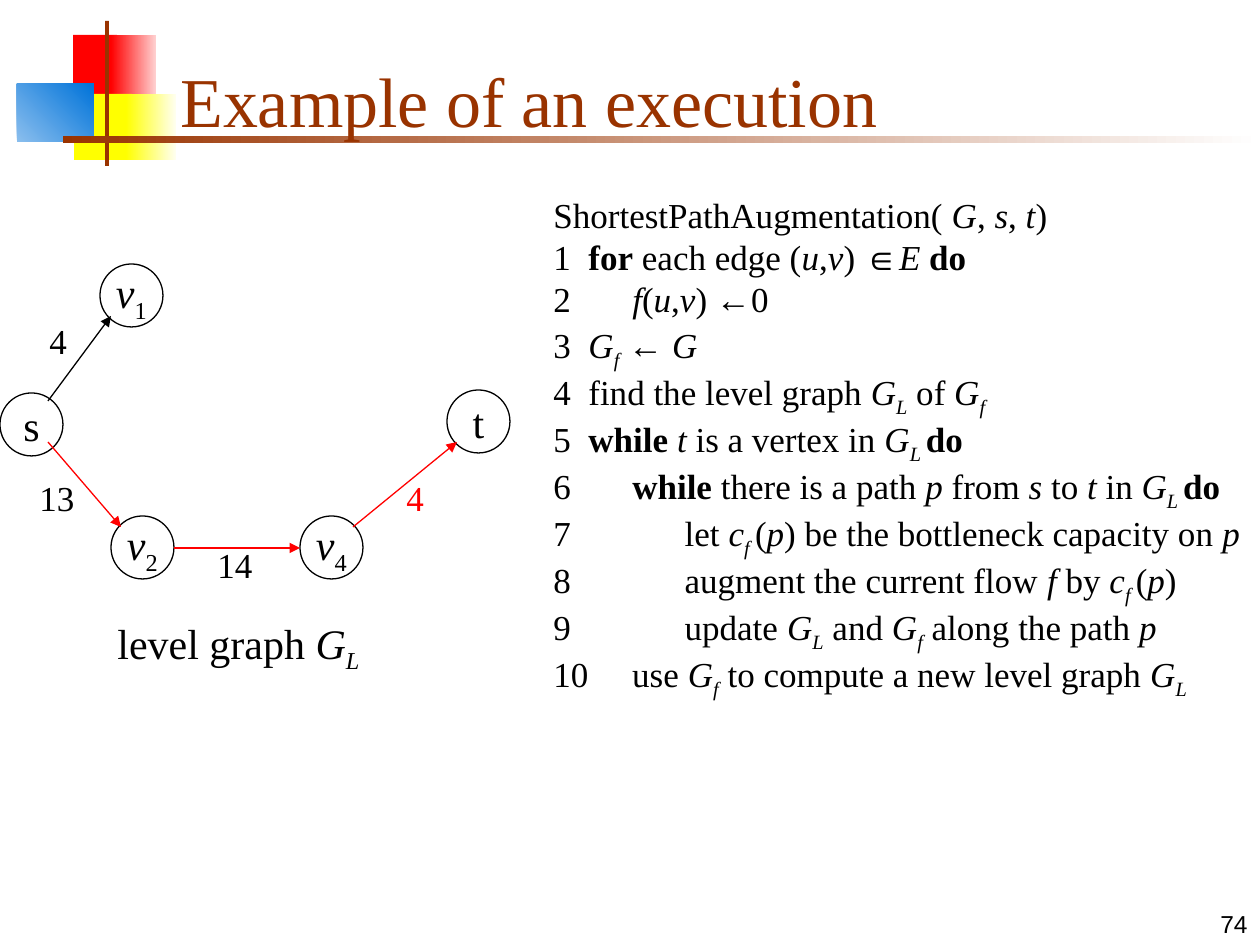
"""Build the slide with a level graph beside its augmentation algorithm."""
from lxml.etree import SubElement
from pptx import Presentation
from pptx.dml.color import RGBColor
from pptx.enum.shapes import MSO_CONNECTOR, MSO_SHAPE
from pptx.enum.text import MSO_ANCHOR, PP_ALIGN
from pptx.oxml.ns import qn
from pptx.util import Emu, Pt

SCALE = 914400 / 126
SERIF = "Times New Roman"
BLACK, RED, BROWN = "000000", "FF0000", "993300"

# left, top, width, height, colours, gradient angle
DECOR = [
    (73, 35, 44, 66, ["FF0000"], 0),
    (111, 35, 45, 66, ["FF0000", "FFD1D1"], 0),
    (74, 94, 58, 66, ["FFFF00"], 0),
    (126, 94, 50, 66, ["FFFF00", "FFFFF0"], 0),
    (17, 84, 77, 58, ["8BBFEE", "0073D9"], 45),
    (105, 21, 4, 145, [BROWN], 0),
    (63, 136, 1197, 7, [BROWN, "FFFFFF"], 0),
]

# Runs are split by "|"; a prefix of b, i or s means bold, italic or subscript
SIZE = 63
NODES = [
    (0, 393, "s"),
    (100, 264, "i:v|s:1"),
    (111, 516, "i:v|s:2"),
    (300, 516, "i:v|s:4"),
    (447, 390, "t"),
]
EDGES = [
    (48, 401, 111, 316, BLACK),
    (48, 442, 121, 527, RED),
    (174, 548, 300, 548, RED),
    (353, 527, 457, 442, RED),
]
LABELS = [
    (37, 313, "4", BLACK),
    (27, 470, "13", BLACK),
    (394, 470, "4", RED),
    (205, 537, "14", BLACK),
]
CODE = [
    "ShortestPathAugmentation( |i:G|, |i:s|,|i: t|)",
    "1  |b:for| each edge (|i:u|,|i:v|) ∈|i:E |b:do",
    "2       |i:f|(|i:u|,|i:v|) ←0",
    "3  |i:G|is:f| ← |i:G",
    "4  find the level graph |i:G|is:L| of |i:G|is:f",
    "5|b:  while |i:t| is a vertex in |i:G|is:L |b:do",
    "6       |b:while| there is a path |i:p| from |i:s |to |i:t| in |i:G|is:L |b:do",
    "7             let |i:c|is:f |(|i:p|) be the bottleneck capacity on |i:p",
    "8             augment the current flow |i:f| by |i:c|is:f |(|i:p|)",
    "9             update |i:G|is:L| and |i:G|is:f| along the path |i:p",
    "10     use |i:G|is:f| to compute a new level graph |i:G|is:L",
]


def px(num):
    return Emu(round(num * SCALE))


def rgb(code):
    return RGBColor.from_string(code)


def assign(obj, vals):
    for key, val in vals.items():
        setattr(obj, key, val)


def write(shape, lines, size, color=BLACK, font=SERIF, frame=None, para=None):
    text = shape.text_frame
    assign(text, {"word_wrap": True} | (frame or {}))
    for num, line in enumerate(lines):
        par = text.add_paragraph() if num else text.paragraphs[0]
        assign(par, para or {})
        if num:
            par.space_before = Pt(5)
        for part in line.split("|"):
            style, mark, words = part.partition(":")
            if not mark:
                style, words = "", part
            run = par.add_run()
            run.text = words
            assign(run.font, {"name": font, "size": Pt(size),
                              "bold": "b" in style, "italic": "i" in style})
            run.font.color.rgb = rgb(color)
            if "s" in style:
                run.font._element.set("baseline", "-25000")


def add_text(slide, box, lines, size, **opts):
    write(slide.shapes.add_textbox(*map(px, box)), lines, size, **opts)


def add_decor(slide, left, top, wide, high, colors, angle):
    shape = slide.shapes.add_shape(
        MSO_SHAPE.RECTANGLE, *map(px, (left, top, wide, high)))
    shape.shadow.inherit = False
    shape.line.fill.background()
    if len(colors) == 1:
        shape.fill.solid()
        shape.fill.fore_color.rgb = rgb(colors[0])
        return
    shape.fill.gradient()
    shape.fill.gradient_angle = angle
    for stop, color in zip(shape.fill.gradient_stops, colors):
        stop.color.rgb = rgb(color)


def add_node(slide, left, top, name):
    shape = slide.shapes.add_shape(
        MSO_SHAPE.OVAL, *map(px, (left, top, SIZE, SIZE)))
    shape.shadow.inherit = False
    shape.fill.background()
    shape.line.color.rgb = rgb(BLACK)
    shape.line.width = Pt(0.75)
    write(shape, [name], 24,
          frame={"word_wrap": False, "vertical_anchor": MSO_ANCHOR.MIDDLE},
          para={"alignment": PP_ALIGN.CENTER})


def add_edge(slide, *edge):
    *ends, color = edge
    line = slide.shapes.add_connector(MSO_CONNECTOR.STRAIGHT, *map(px, ends))
    line.line.color.rgb = rgb(color)
    line.line.width = Pt(0.75)
    SubElement(line.line._get_or_add_ln(), qn("a:tailEnd"), type="triangle")
    SubElement(line._element.spPr, qn("a:effectLst"))


def main():
    deck = Presentation()
    assign(deck, {"slide_width": px(1260), "slide_height": px(945)})
    slide = deck.slides.add_slide(deck.slide_layouts[6])
    low = {"vertical_anchor": MSO_ANCHOR.BOTTOM}
    for item in DECOR:
        add_decor(slide, *item)
    add_text(slide, (998, 882, 262, 63), ["74"], 14, font="Arial",
             frame=low, para={"alignment": PP_ALIGN.RIGHT})
    add_text(slide, (168, 32, 1074, 116), ["Example of an execution"], 40,
             color=BROWN, frame=low)
    for node in NODES:
        add_node(slide, *node)
    for edge in EDGES:
        add_edge(slide, *edge)
    for left, top, name, color in LABELS:
        add_text(slide, (left, top, 67, 55), [name], 20, color=color)
    add_text(slide, (541, 195, 719, 476), CODE, 20,
             para={"line_spacing": 0.8})
    add_text(slide, (105, 611, 267, 71), ["level graph |i:G|is:L"], 24,
             para={"alignment": PP_ALIGN.CENTER})
    deck.save("out.pptx")


if __name__ == "__main__":
    main()
